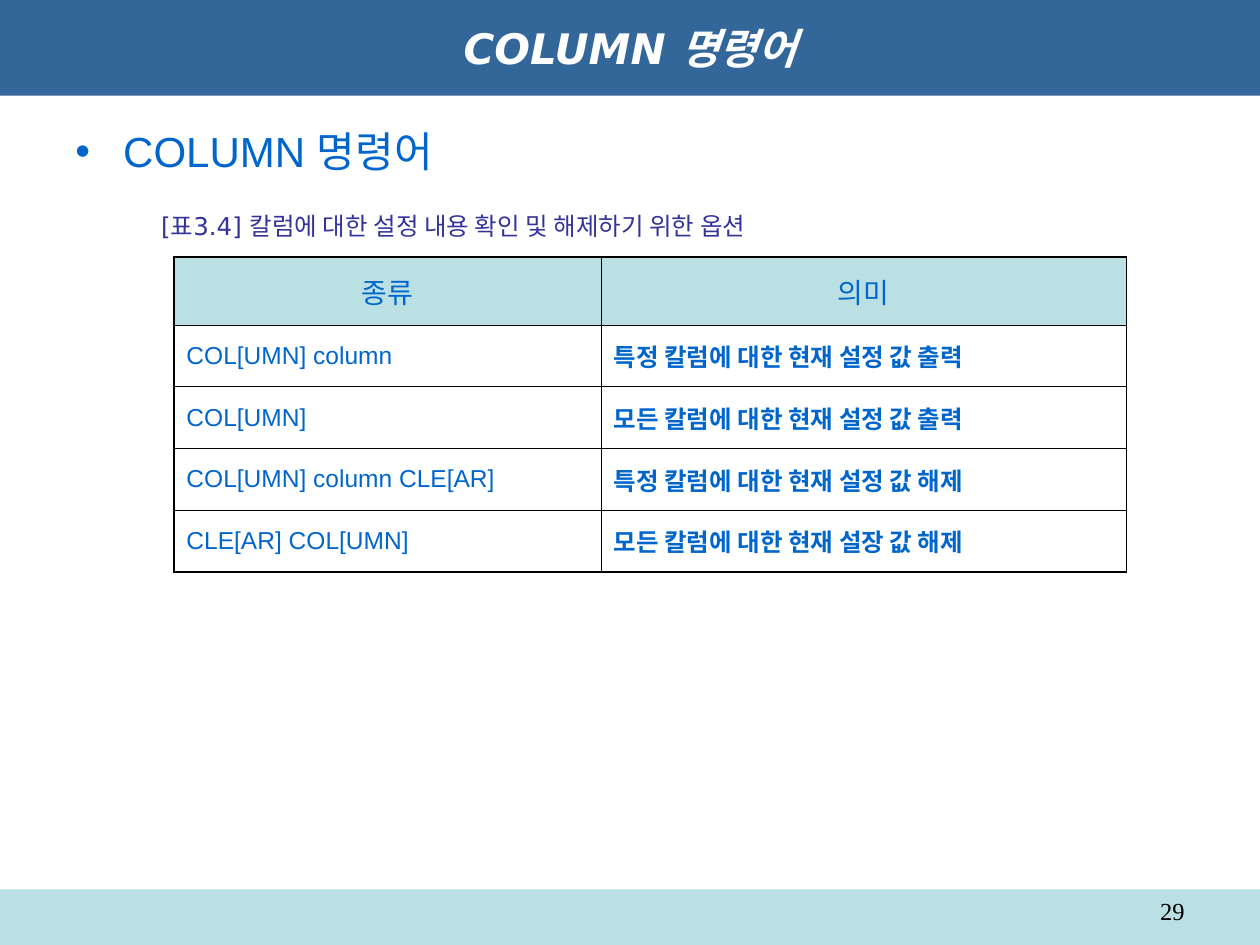
from lxml.etree import SubElement
from pptx import Presentation
from pptx.dml.color import RGBColor
from pptx.enum.shapes import MSO_SHAPE
from pptx.enum.text import MSO_ANCHOR, PP_ALIGN
from pptx.oxml.ns import qn
from pptx.util import Inches, Pt

COLORS = {
    "bar": "336699",
    "pale": "BBE0E3",
    "blue": "0066CC",
    "caption": "333399",
    "white": "FFFFFF",
    "black": "000000",
}
HEADERS = ("종류", "의미")
OPTIONS = (
    ("COL[UMN] column", "특정 칼럼에 대한 현재 설정 값 출력"),
    ("COL[UMN]", "모든 칼럼에 대한 현재 설정 값 출력"),
    ("COL[UMN] column CLE[AR]", "특정 칼럼에 대한 현재 설정 값 해제"),
    ("CLE[AR] COL[UMN]", "모든 칼럼에 대한 현재 설장 값 해제"),
)
OUTER_WIDTH = 1.08
INNER_WIDTH = 0.45


def color(name):
    return RGBColor.from_string(COLORS[name])


def write_text(frame, text, size, fill="blue", font="Arial", bold=False, italic=False,
               align=PP_ALIGN.LEFT, anchor=MSO_ANCHOR.TOP, wrap=True):
    frame.word_wrap = wrap
    frame.vertical_anchor = anchor
    paragraph = frame.paragraphs[0]
    paragraph.alignment = align
    run = paragraph.add_run()
    run.text = text
    run.font.name = font
    run.font.size = Pt(size)
    run.font.bold = bold
    run.font.italic = italic
    run.font.color.rgb = color(fill)
    return paragraph


def add_text(slide, box, text, **text_format):
    shape = slide.shapes.add_textbox(*map(Inches, box))
    return write_text(shape.text_frame, text, **text_format)


def add_bar(slide, box, fill):
    shape = slide.shapes.add_shape(MSO_SHAPE.RECTANGLE, *map(Inches, box))
    shape.shadow.inherit = False
    shape.fill.solid()
    shape.fill.fore_color.rgb = color(fill)
    shape.line.fill.background()
    return shape


def add_title(slide, box):
    bar = add_bar(slide, box, "bar")
    write_text(bar.text_frame, "COLUMN 명령어", size=24, fill="white", font="DejaVu Sans",
               bold=True, italic=True, align=PP_ALIGN.CENTER, anchor=MSO_ANCHOR.MIDDLE)


def add_heading(slide, box):
    paragraph = add_text(slide, box, "COLUMN 명령어", size=24)
    properties = paragraph._p.get_or_add_pPr()
    indent = Inches(0.38)
    properties.set("marL", str(indent))
    properties.set("indent", str(-indent))
    bullet_color = SubElement(properties, qn("a:buClr"))
    SubElement(bullet_color, qn("a:srgbClr"), val=COLORS["blue"])
    SubElement(properties, qn("a:buFont"), typeface="Arial")
    SubElement(properties, qn("a:buChar"), char="•")


def add_borders(cell, widths):
    properties = cell._tc.get_or_add_tcPr()
    for side, width in widths.items():
        line = SubElement(properties, qn(f"a:ln{side}"), w=str(Pt(width)))
        fill = SubElement(line, qn("a:solidFill"))
        SubElement(fill, qn("a:srgbClr"), val=COLORS["black"])


def add_options_table(slide, box, column_widths, row_heights):
    rows = (HEADERS,) + OPTIONS
    frame = slide.shapes.add_table(len(rows), len(HEADERS), *map(Inches, box))
    table = frame.table
    for column, width in zip(table.columns, column_widths):
        column.width = Inches(width)
    for row, height in zip(table.rows, row_heights):
        row.height = Inches(height)
    last_row, last_column = len(rows) - 1, len(HEADERS) - 1
    for row_index, texts in enumerate(rows):
        is_header = row_index == 0
        for column_index, text in enumerate(texts):
            cell = table.cell(row_index, column_index)
            outer_sides = {
                "L": column_index == 0,
                "R": column_index == last_column,
                "T": is_header,
                "B": row_index == last_row,
            }
            add_borders(cell, {side: OUTER_WIDTH if outer else INNER_WIDTH
                               for side, outer in outer_sides.items()})
            cell.fill.solid()
            cell.fill.fore_color.rgb = color("pale" if is_header else "white")
            write_text(cell.text_frame, text, size=16 if is_header else 14,
                       bold=not is_header and column_index == last_column,
                       align=PP_ALIGN.CENTER if is_header else PP_ALIGN.LEFT)
            cell.vertical_anchor = MSO_ANCHOR.MIDDLE


def add_caption(slide, box):
    add_text(slide, box, "[표3.4] 칼럼에 대한 설정 내용 확인 및 해제하기 위한 옵션", size=14,
             fill="caption", font="DejaVu Sans", anchor=MSO_ANCHOR.MIDDLE, wrap=False)


def add_footer(slide, box):
    left, top, width, height = box
    add_bar(slide, box, "pale")
    add_text(slide, (left + width - 2.83, top, 2.33, 0.29), "29", size=14, fill="black",
             font="Times New Roman", align=PP_ALIGN.RIGHT)


def main():
    presentation = Presentation()
    presentation.slide_width = Inches(10)
    presentation.slide_height = Inches(7.5)
    slide = presentation.slides.add_slide(presentation.slide_layouts[6])
    add_footer(slide, (0, 7.06, 10, 0.44))
    add_title(slide, (0, 0, 10, 0.76))
    add_heading(slide, (0.5, 0.95, 9, 5.95))
    add_options_table(slide, (1.38, 2.04, 7.56, 2.5), (3.39, 4.17),
                      [0.54] + [0.49] * len(OPTIONS))
    add_caption(slide, (1.18, 1.62, 5.15, 0.34))
    presentation.save("out.pptx")


if __name__ == "__main__":
    main()
